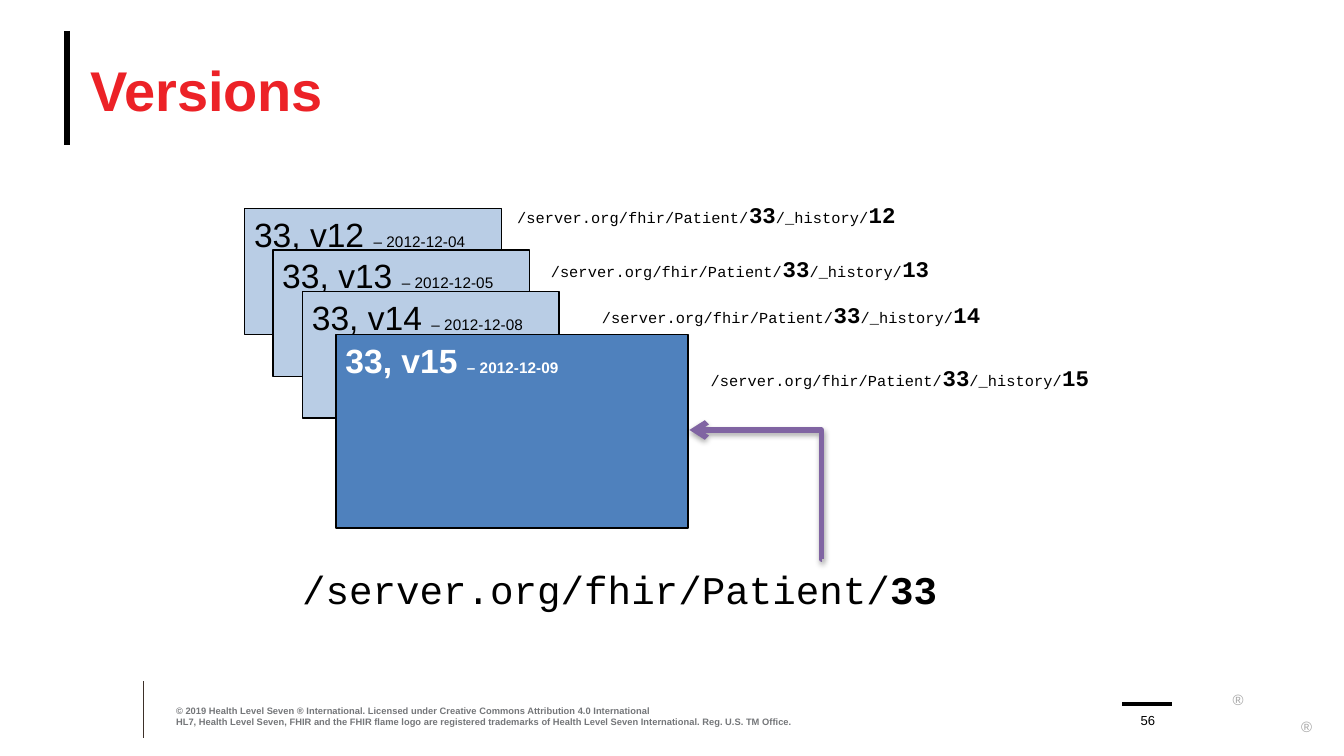
from lxml import etree
from pptx import Presentation
from pptx import util as u
from pptx.dml import color
from pptx.enum import shapes, text
from pptx.oxml import ns

EMU_PER_PX = 9144
BLACK = "000000"
GREY = "747679"
SMALL = 8.25
VERSIONS = [
    (12, "2012-12-04", (182, 155), (375, 145)),
    (13, "2012-12-05", (203, 186), (400, 185)),
    (14, "2012-12-08", (225, 217), (438, 219)),
    (15, "2012-12-09", (250, 249), (519, 266)),
]
COPYRIGHT = [
    "© 2019 Health Level Seven ® International. Licensed under Creative Commons Attribution 4.0 International",
    "HL7, Health Level Seven, FHIR and the FHIR flame logo are registered trademarks of "
    "Health Level Seven International. Reg. U.S. TM Office.",
]


def px(*lengths):
    return [u.Emu(length * EMU_PER_PX) for length in lengths]


def rgb(value):
    return color.RGBColor.from_string(value)


def add_child(parent, tag, **attributes):
    return etree.SubElement(parent, ns.qn(tag), attributes)


def add_run(paragraph, content, size, font="Arial", fill=BLACK, bold=False):
    run = paragraph.add_run()
    run.text = content
    run.font.size = u.Pt(size)
    run.font.name = font
    run.font.bold = bold
    run.font.color.rgb = rgb(fill)


def set_frame(shape, insets, anchor=text.MSO_ANCHOR.TOP, wrap=True):
    frame = shape.text_frame
    frame.word_wrap = wrap
    frame.vertical_anchor = anchor
    horizontal, vertical = px(*insets)
    frame.margin_left = frame.margin_right = horizontal
    frame.margin_top = frame.margin_bottom = vertical
    return frame


def add_text(slide, box, lines, size, insets=(0, 0), align=text.PP_ALIGN.LEFT,
             anchor=text.MSO_ANCHOR.TOP, wrap=True, **style):
    frame = set_frame(slide.shapes.add_textbox(*px(*box)), insets, anchor, wrap)
    for index, line in enumerate(lines):
        paragraph = frame.add_paragraph() if index else frame.paragraphs[0]
        paragraph.alignment = align
        add_run(paragraph, line, size, **style)


def add_url(slide, box, parts):
    frame = set_frame(slide.shapes.add_textbox(*px(*box)), (10, 5))
    for content, size, bold in parts:
        add_run(frame.paragraphs[0], content, size, font="Courier New", bold=bold)


def add_card(slide, version, date, corner, current):
    size = (262, 144) if current else (191, 94)
    card = slide.shapes.add_shape(shapes.MSO_SHAPE.RECTANGLE, *px(*corner, *size))
    card.shadow.inherit = False
    card.fill.solid()
    card.fill.fore_color.rgb = rgb("4F81BD" if current else "B9CDE5")
    card.line.color.rgb = rgb(BLACK)
    card.line.width = u.Pt(0.75)
    paragraph = set_frame(card, (7, 4)).paragraphs[0]
    paragraph.alignment = text.PP_ALIGN.LEFT
    style = {"fill": "FFFFFF" if current else BLACK, "bold": current}
    add_run(paragraph, f"33, v{version} ", 18, **style)
    add_run(paragraph, f"– {date}", SMALL, **style)


def add_line(slide, start, end, fill, width, kind=shapes.MSO_CONNECTOR.STRAIGHT):
    line = slide.shapes.add_connector(kind, *px(*start, *end))
    line.line.color.rgb = rgb(fill)
    line.line.width = u.Pt(width)
    effects = add_child(line._element.spPr, "a:effectLst")
    return line, effects


def add_current_arrow(slide):
    arrow, effects = add_line(slide, (612, 416), (513, 320), "8064A2", 3,
                              shapes.MSO_CONNECTOR.ELBOW)
    properties = arrow._element.spPr
    guides = properties.find(".//" + ns.qn("a:avLst"))
    add_child(guides, "a:gd", name="adj1", fmla="val 800")
    add_child(properties.find(ns.qn("a:ln")), "a:tailEnd", type="arrow")
    shadow = add_child(effects, "a:outerShdw", blurRad="39370", dist="22860",
                       dir="5400000", rotWithShape="0")
    shade = add_child(shadow, "a:srgbClr", val=BLACK)
    add_child(shade, "a:alpha", val="35000")


def add_frame_marks(slide):
    add_line(slide, (50, 23), (50, 108), BLACK, 3.25)
    add_line(slide, (107, 507), (107, 549), "3D3029", 0.5)
    add_line(slide, (835, 524), (872, 524), BLACK, 2)
    for corner in [(916, 510), (967, 530)]:
        add_text(slide, (*corner, 11, 9), ["®"], 8, insets=(10, 5), wrap=False, fill="A6A6A6")


def add_footer(slide):
    bottom = text.MSO_ANCHOR.BOTTOM
    add_text(slide, (131, 524, 495, 17), COPYRIGHT, 5, anchor=bottom, fill=GREY, bold=True)
    add_text(slide, (839, 525, 30, 17), ["56"], 7, anchor=bottom, align=text.PP_ALIGN.CENTER)


def main():
    presentation = Presentation()
    presentation.slide_width, = px(1000)
    presentation.slide_height = u.Emu(presentation.slide_width * 9 // 16)
    slide = presentation.slides.add_slide(presentation.slide_layouts[6])
    add_frame_marks(slide)
    add_text(slide, (67, 23, 900, 86), ["Versions"], 30,
             anchor=text.MSO_ANCHOR.MIDDLE, fill="EC2227", bold=True)
    add_footer(slide)
    latest = VERSIONS[-1][0]
    for version, date, card_corner, url_corner in VERSIONS:
        add_card(slide, version, date, card_corner, version == latest)
        add_url(slide, (*url_corner, 356, 30), [
            ("/server.org/fhir/Patient/", SMALL, False), ("33", 12, True),
            ("/_history/", SMALL, False), (str(version), 12, True)])
    add_url(slide, (215, 416, 516, 45), [
        ("/server.org/fhir/Patient/", 21, False), ("33", 21, True)])
    add_current_arrow(slide)
    presentation.save("out.pptx")


if __name__ == "__main__":
    main()
